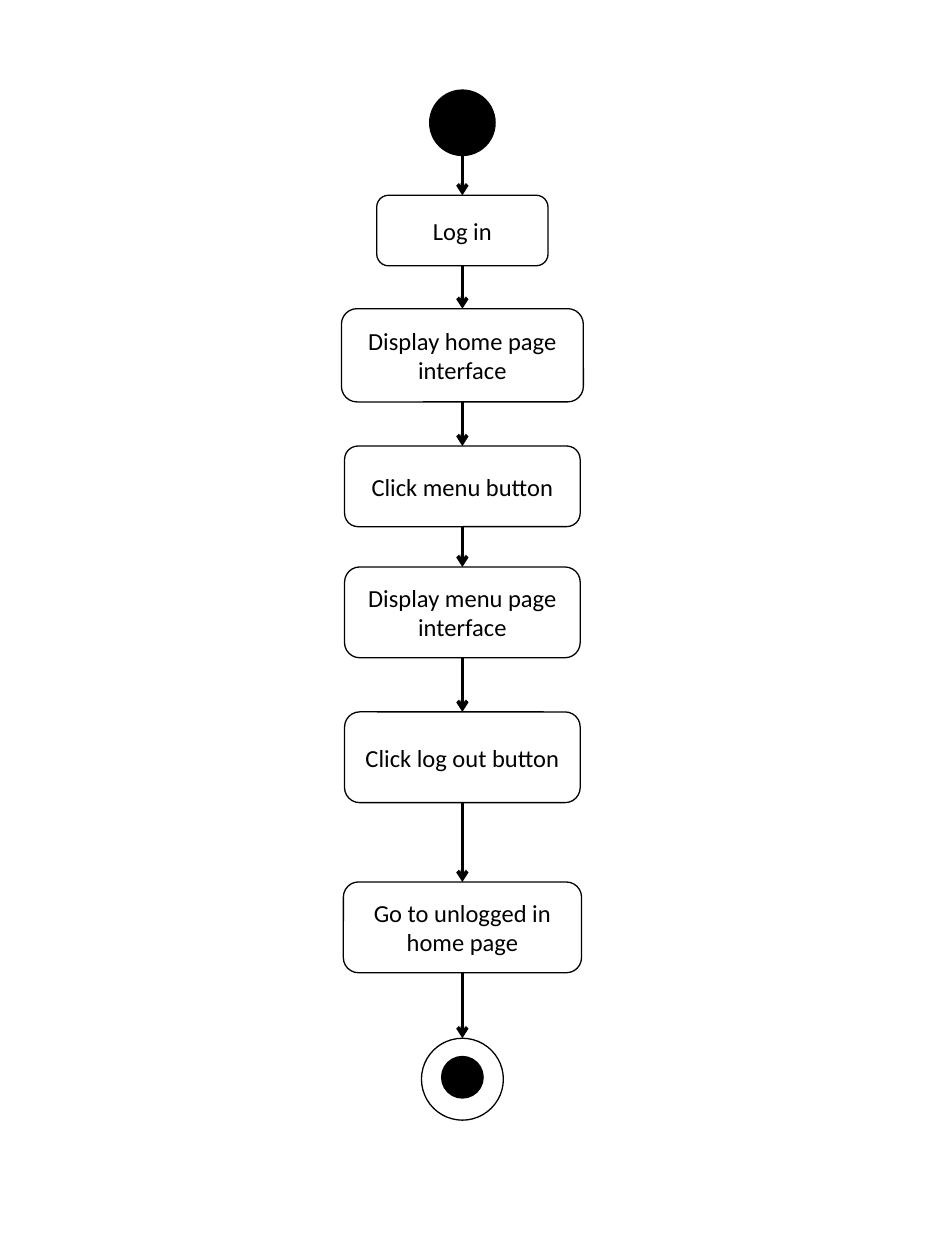
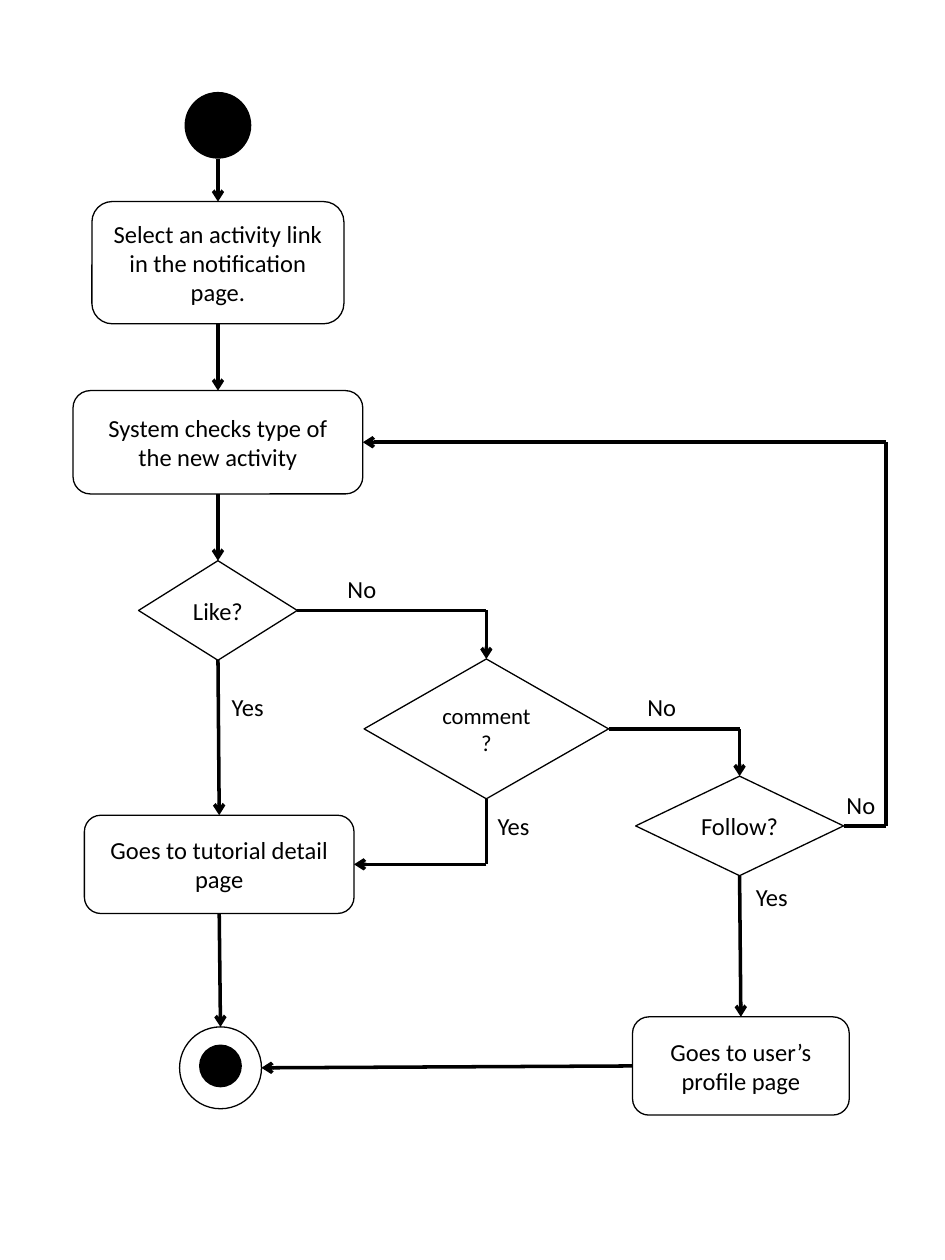
from dataclasses import dataclass
from itertools import pairwise

from lxml.etree import SubElement
from pptx import Presentation
from pptx.dml.color import RGBColor
from pptx.enum.shapes import MSO_CONNECTOR, MSO_SHAPE
from pptx.enum.text import MSO_ANCHOR, MSO_AUTO_SIZE, PP_ALIGN
from pptx.oxml.ns import qn
from pptx.slide import Slide
from pptx.text.text import TextFrame
from pptx.util import Inches, Pt

# Page grid: 75 columns by 100 rows
WIDTH, HEIGHT = Inches(7.5), Inches(10)
COLUMN, ROW = WIDTH / 75, HEIGHT / 100

# Shared style
INK, PAPER = "000000", "FFFFFF"
FONT, TEXT_SIZE = "Calibri", 14
OUTLINE, FLOW_LINE = 0.75, 2
START_SIZE, END_SIZE, CORE_SIZE, CORE_DROP = 5.3, 6.5, 3.4, 1.4

Point = tuple[float, float]


@dataclass(frozen=True)
class Node:
    """A flowchart step, placed by its centre column and top row."""
    center: float
    row: float
    width: float
    height: float
    text: str = ""
    kind: MSO_SHAPE = MSO_SHAPE.ROUNDED_RECTANGLE
    fill: str = PAPER
    size: float = TEXT_SIZE

    @property
    def top(self) -> Point:
        return self.center, self.row

    @property
    def bottom(self) -> Point:
        return self.center, self.row + self.height

    @property
    def left(self) -> Point:
        return self.center - self.width / 2, self.row + self.height / 2

    @property
    def right(self) -> Point:
        return self.center + self.width / 2, self.row + self.height / 2


@dataclass(frozen=True)
class Label:
    text: str
    column: float
    row: float


LABEL_WIDTHS = {"Yes": 6.5, "No": 4.7}
LABEL_HEIGHT = 3.4


def x(column: float) -> int:
    return round(column * COLUMN)


def y(row: float) -> int:
    return round(row * ROW)


def color(value: str) -> RGBColor:
    return RGBColor.from_string(value)


def start(center: float, row: float) -> Node:
    return Node(center, row, START_SIZE, START_SIZE, kind=MSO_SHAPE.OVAL, fill=INK)


def end(center: float, row: float) -> Node:
    return Node(center, row, END_SIZE, END_SIZE, kind=MSO_SHAPE.OVAL)


def core(ring: Node) -> Node:
    return Node(ring.center, ring.row + CORE_DROP, CORE_SIZE, CORE_SIZE,
                kind=MSO_SHAPE.OVAL, fill=INK)


def decision(center: float, row: float, width: float, height: float,
             text: str, size: float = TEXT_SIZE) -> Node:
    return Node(center, row, width, height, text, MSO_SHAPE.FLOWCHART_DECISION, size=size)


def write(frame: TextFrame, text: str, size: float, align: PP_ALIGN) -> None:
    frame.word_wrap = True
    paragraph = frame.paragraphs[0]
    paragraph.text = text
    paragraph.alignment = align
    paragraph.font.name = FONT
    paragraph.font.size = Pt(size)
    paragraph.font.color.rgb = color(INK)


def draw_node(slide: Slide, node: Node) -> None:
    shape = slide.shapes.add_shape(node.kind, x(node.left[0]), y(node.row),
                                   x(node.width), y(node.height))
    shape.shadow.inherit = False
    shape.fill.solid()
    shape.fill.fore_color.rgb = color(node.fill)
    if node.fill == INK:
        shape.line.fill.background()
    else:
        shape.line.color.rgb = color(INK)
        shape.line.width = Pt(OUTLINE)
    if node.text:
        write(shape.text_frame, node.text, node.size, PP_ALIGN.CENTER)
        shape.text_frame.vertical_anchor = MSO_ANCHOR.MIDDLE


def draw_label(slide: Slide, label: Label) -> None:
    box = slide.shapes.add_textbox(x(label.column), y(label.row),
                                   x(LABEL_WIDTHS[label.text]), y(LABEL_HEIGHT))
    box.text_frame.auto_size = MSO_AUTO_SIZE.SHAPE_TO_FIT_TEXT
    write(box.text_frame, label.text, TEXT_SIZE, PP_ALIGN.LEFT)


def draw_flow(slide: Slide, *points: Point) -> None:
    """Draw straight segments through the points, the last with an arrowhead."""
    for begin, finish in pairwise(points):
        segment = slide.shapes.add_connector(
            MSO_CONNECTOR.STRAIGHT, x(begin[0]), y(begin[1]), x(finish[0]), y(finish[1]))
        segment.line.color.rgb = color(INK)
        segment.line.width = Pt(FLOW_LINE)
        properties = segment.line._get_or_add_ln()
        if finish == points[-1]:
            SubElement(properties, qn("a:tailEnd"), type="arrow")
        SubElement(properties.getparent(), qn("a:effectLst"))


def draw_chain(slide: Slide, *nodes: Node) -> None:
    for upper, lower in pairwise(nodes):
        draw_flow(slide, upper.bottom, lower.top)


def add_chart_page(deck: Presentation, nodes: list[Node]) -> Slide:
    slide = deck.slides.add_slide(deck.slide_layouts[6])
    for node in nodes:
        draw_node(slide, node)
    return slide


deck = Presentation()
deck.slide_width, deck.slide_height = WIDTH, HEIGHT

# Slide 1: logging out, one straight chain
AXIS = 36.7
logout_steps = [
    start(AXIS, 7.1),
    Node(AXIS, 15.5, 13.6, 5.6, "Log in"),
    Node(AXIS, 24.5, 19.2, 7.4, "Display home page interface"),
    Node(AXIS, 35.4, 18.7, 6.4, "Click menu button"),
    Node(AXIS, 45, 18.7, 7.2, "Display menu page interface"),
    Node(AXIS, 56.5, 18.7, 7.2, "Click log out button"),
    Node(AXIS, 70, 18.9, 7.2, "Go to unlogged in home page"),
    end(AXIS, 82.4),
]
logout = add_chart_page(deck, logout_steps + [core(logout_steps[-1])])
draw_chain(logout, *logout_steps)

# Slide 2: opening a notification, with three decisions
MAIN, MIDDLE, OUTER, RETURN = 17.3, 38.6, 58.7, 70.3
opening = start(MAIN, 7.3)
select = Node(MAIN, 16, 20, 9.7, "Select an activity link in the notification page.")
check = Node(MAIN, 31, 23, 8.2, "System checks type of the new activity")
like = decision(MAIN, 44.5, 12.6, 7.9, "Like?")
tutorial = Node(MAIN + 0.1, 64.7, 21.4, 7.8, "Goes to tutorial detail page")
finish_ring = end(MAIN + 0.2, 81.5)
comment = decision(MIDDLE, 52.3, 19.4, 11.1, "comment?", size=13)
follow = decision(OUTER, 61.6, 16.5, 7.9, "Follow?")
profile = Node(OUTER + 0.1, 80.7, 17.2, 7.8, "Goes to user’s profile page")

notification = add_chart_page(deck, [
    opening, select, check, like, tutorial, finish_ring, core(finish_ring),
    comment, follow, profile])

# Straight flows, then the bent branches
draw_chain(notification, opening, select, check, like, tutorial, finish_ring)
draw_chain(notification, follow, profile)
draw_flow(notification, profile.left, finish_ring.right)
draw_flow(notification, like.right, (MIDDLE, like.right[1]), comment.top)
draw_flow(notification, comment.right, (OUTER, comment.right[1]), follow.top)
draw_flow(notification, comment.bottom, (MIDDLE, tutorial.right[1]), tutorial.right)
draw_flow(notification, follow.right, (RETURN, follow.right[1]),
          (RETURN, check.right[1]), check.right)

# Branch answers
for answer in (
    Label("Yes", 17.4, 54.4), Label("No", 26.6, 45.1),
    Label("Yes", 38.5, 63.9), Label("No", 50.4, 54.4),
    Label("Yes", 59, 69.5), Label("No", 66.2, 62.2),
):
    draw_label(notification, answer)

deck.save("out.pptx")
